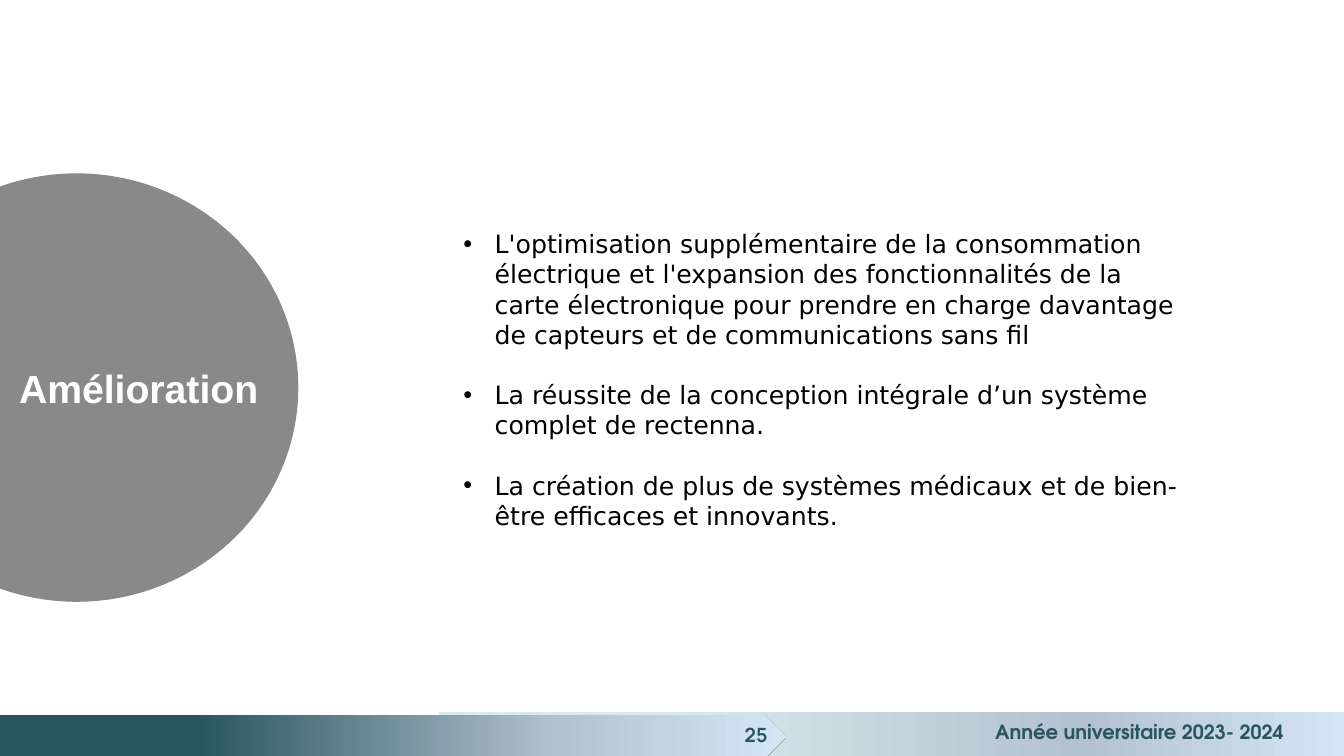
from lxml import etree
from pptx import Presentation
from pptx.dml.color import RGBColor
from pptx.enum.shapes import MSO_SHAPE
from pptx.enum.text import MSO_ANCHOR, PP_ALIGN
from pptx.oxml.ns import qn
from pptx.util import Inches, Pt

OVAL, BAR, ARROW = MSO_SHAPE.OVAL, MSO_SHAPE.RECTANGLE, MSO_SHAPE.PENTAGON
LEFT, CENTER = PP_ALIGN.LEFT, PP_ALIGN.CENTER
TOP, MIDDLE = MSO_ANCHOR.TOP, MSO_ANCHOR.MIDDLE

# Grid of square cells covering the slide
COLUMNS, ROWS = 160, 90
CELL = Inches(1) / 12

COLORS = {
    "circle": "666666", "white": "FFFFFF", "black": "000000", "teal": "29555D",
    "mist": "D7EAED", "steel": "B3C2CE", "sky": "D4E6F4",
}
TITLE_FONT = {"name": "Arial", "size": Pt(28), "bold": True}
BODY_FONT = {"name": "DejaVu Sans", "size": Pt(18), "bold": False}
YEAR_FONT = {"name": "TeX Gyre Adventor", "size": Pt(14), "bold": True}
NUMBER_FONT = {"name": "Manrope", "size": Pt(14), "bold": True}

IMPROVEMENTS = [
    "L'optimisation supplémentaire de la consommation électrique et l'expansion "
    "des fonctionnalités de la carte électronique pour prendre en charge "
    "davantage de capteurs et de communications sans fil",
    "La réussite de la conception intégrale d’un système complet de rectenna.",
    "La création de plus de systèmes médicaux et de bien-être efficaces et innovants.",
]


def on_grid(*cells):
    return [round(cell * CELL) for cell in cells]


def add_plain_shape(slide, kind, box):
    shape = slide.shapes.add_shape(kind, *on_grid(*box))
    shape.shadow.inherit = False
    shape.line.fill.background()
    return shape


def add_circle(slide, box, color, opacity):
    circle = add_plain_shape(slide, OVAL, box)
    circle.fill.solid()
    circle.fill.fore_color.rgb = RGBColor.from_string(COLORS[color])
    tint = circle.element.spPr.find(qn("a:solidFill"))[0]
    etree.SubElement(tint, qn("a:alpha"), val=str(opacity * 1000))


def add_gradient_band(slide, kind, box, stops):
    band = add_plain_shape(slide, kind, box)
    band.fill.gradient()
    band.fill.gradient_angle = 0
    stop_list = band.element.spPr.find(qn("a:gradFill")).find(qn("a:gsLst"))
    for stop in list(stop_list):
        stop_list.remove(stop)
    for position, color in stops:
        stop = etree.SubElement(stop_list, qn("a:gs"), pos=str(position * 1000))
        etree.SubElement(stop, qn("a:srgbClr"), val=COLORS[color])


def write_text(holder, lines, font, color, align=CENTER, anchor=TOP):
    frame = holder.text_frame
    frame.text = "\n".join(lines)
    frame.word_wrap = True
    frame.vertical_anchor = anchor
    for paragraph in frame.paragraphs:
        paragraph.alignment = align
        for attribute, value in font.items():
            setattr(paragraph.font, attribute, value)
        paragraph.font.color.rgb = RGBColor.from_string(COLORS[color])
    return frame


def add_label(slide, box, lines, font, color, **layout):
    label = slide.shapes.add_textbox(*on_grid(*box))
    return write_text(label, lines, font, color, **layout)


def set_title(slide, box, text):
    title = slide.shapes.title
    title.left, title.top, title.width, title.height = on_grid(*box)
    write_text(title, [text], TITLE_FONT, "white")
    # Bring the title in front of the circle
    title.element.getparent().append(title.element)


def add_bullets(slide, box, items):
    frame = add_label(slide, box, items, BODY_FONT, "black", align=LEFT)
    indent = Inches(0.31)
    for paragraph in frame.paragraphs:
        paragraph.space_after = Pt(21.5)
        properties = paragraph._p.get_or_add_pPr()
        properties.set("marL", str(indent))
        properties.set("indent", str(-indent))
        bullet_font = etree.Element(qn("a:buFont"), typeface="Arial")
        bullet = etree.Element(qn("a:buChar"), char="•")
        text_defaults = properties.find(qn("a:defRPr"))
        text_defaults.addprevious(bullet_font)
        text_defaults.addprevious(bullet)


def main():
    deck = Presentation()
    deck.slide_width, deck.slide_height = on_grid(COLUMNS, ROWS)
    slide = deck.slides.add_slide(deck.slide_layouts[5])

    # Title circle
    add_circle(slide, (-17.28, 20.64, 52.8, 51), "circle", 77)
    set_title(slide, (-2.52, 42.72, 38.04, 6.84), "Amélioration")

    # Footer bands
    fade = [(71, "steel"), (100, "sky")]
    add_gradient_band(slide, BAR, (52.32, 84.72, 107.68, 5.28), [(25, "mist")] + fade)
    add_gradient_band(slide, ARROW, (-0.12, 85.08, 93.72, 5.28), [(25, "teal")] + fade)

    # Footer texts
    add_label(slide, (114.36, 85.08, 42.6, 4.08),
              ["Année universitaire 2023- 2024"], YEAR_FONT, "teal")
    add_label(slide, (78.48, 85.08, 23.04, 4.8), ["25"], NUMBER_FONT, "teal",
              anchor=MIDDLE)

    # List of improvements
    add_bullets(slide, (54, 26.6, 89.28, 41.3), IMPROVEMENTS)

    deck.save("out.pptx")


if __name__ == "__main__":
    main()
